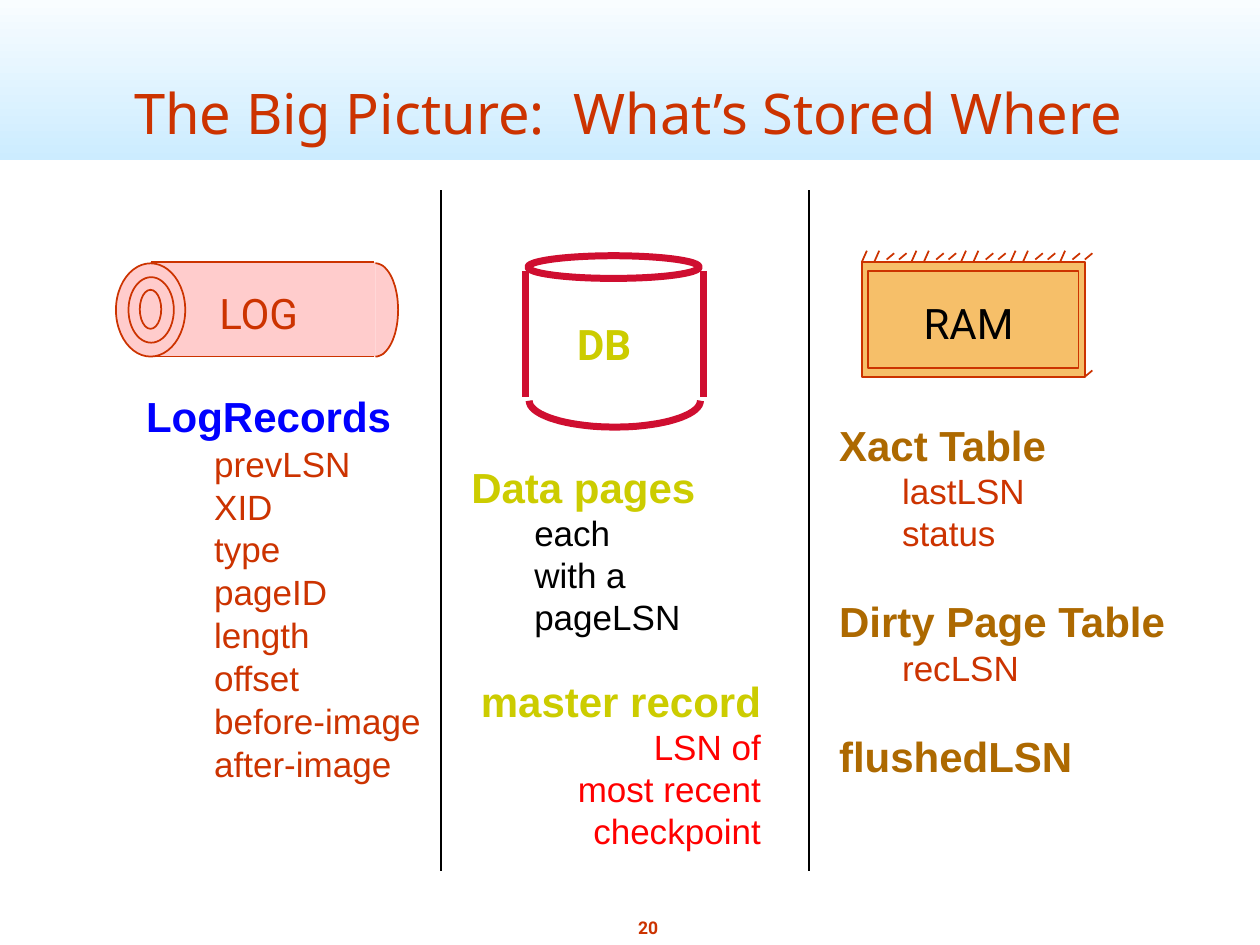
import math
from pptx import Presentation, util as u
from pptx.dml.color import RGBColor
from pptx.enum import shapes, text
from pptx.oxml.ns import qn
from lxml import etree

COLORS = {
    "rust": "CC3300", "sky": "CCECFF", "white": "FFFFFF", "black": "000000",
    "crimson": "CF0E30", "olive": "CCCC00", "brown": "AD6900", "red": "FF0000",
    "blue": "0000FF", "orange": "F6BF69", "pink": "FFCCCC",
}
RECTANGLE, OVAL = shapes.MSO_SHAPE.RECTANGLE, shapes.MSO_SHAPE.OVAL
LEFT, CENTER, RIGHT = text.PP_ALIGN.LEFT, text.PP_ALIGN.CENTER, text.PP_ALIGN.RIGHT
UNITS = 1000  # freeform units per inch; the builder keeps whole units only

presentation = Presentation()
presentation.slide_width, presentation.slide_height = u.Inches(10), u.Inches(7.5)
slide = presentation.slides.add_slide(presentation.slide_layouts[5])


def paint(shape, fill=None, line=None, width=1):
    """Set fill and line of a shape or connector, without shadow."""
    if hasattr(shape, "fill"):
        shape.shadow.inherit = False
        if fill:
            shape.fill.solid()
            shape.fill.fore_color.rgb = RGBColor.from_string(COLORS[fill])
        else:
            shape.fill.background()
    if line:
        shape.line.color.rgb = RGBColor.from_string(COLORS[line])
        shape.line.width = u.Pt(width)
    else:
        shape.line.fill.background()
    if not hasattr(shape, "fill"):
        etree.SubElement(shape._element.spPr, qn("a:effectLst"))


def write(shape, lines, align=LEFT):
    """Fill a shape with lines of (words, size, font, color, bold, indent, space before)."""
    frame = shape.text_frame
    frame.margin_left = frame.margin_right = u.Inches(0.05)
    frame.margin_top = frame.margin_bottom = u.Inches(0.05)
    for index, (words, size, font, color, bold, indent, before) in enumerate(lines):
        paragraph = frame.add_paragraph() if index else frame.paragraphs[0]
        paragraph.text = words
        paragraph.alignment = align
        paragraph.space_before = u.Pt(before)
        if indent:
            paragraph._p.get_or_add_pPr().set("marL", str(u.Inches(indent)))
        run_font = paragraph.runs[0].font
        run_font.size, run_font.name, run_font.bold = u.Pt(size), font, bold
        run_font.color.rgb = RGBColor.from_string(COLORS[color])


# Title band and title
band = slide.shapes.add_shape(RECTANGLE, 0, u.Inches(-0.17), u.Inches(10), u.Inches(1.44))
paint(band)
band.fill.gradient()
band.fill.gradient_angle = 90
for stop, color in zip(band.fill.gradient_stops, ("sky", "white")):
    stop.color.rgb = RGBColor.from_string(COLORS[color])
slide.shapes._spTree.insert(2, band._element)

title = slide.shapes.title
title.left, title.top = u.Inches(0.45), u.Inches(0)
title.width, title.height = u.Inches(9.08), u.Inches(1.21)
title.text_frame.vertical_anchor = text.MSO_ANCHOR.BOTTOM
title.text_frame.auto_size = text.MSO_AUTO_SIZE.NONE
write(title, [("The Big Picture:  What’s Stored Where", 32, "Noto Sans", "rust", False, 0, 0)],
      CENTER)

# Rectangles and ellipses of the database, memory and log drawings
for kind, left, top, width, height, fill, line, weight in [
    (OVAL, 4.19, 2.03, 1.36, 0.18, None, "crimson", 4),
    (RECTANGLE, 6.84, 2.08, 1.77, 0.91, "orange", "rust", 1),
    (RECTANGLE, 6.89, 2.15, 1.67, 0.77, None, "rust", 1),
    (RECTANGLE, 1.2, 2.08, 1.78, 0.75, "pink", None, 1),
    (OVAL, 0.92, 2.09, 0.55, 0.74, "pink", "rust", 1),
    (OVAL, 1.02, 2.2, 0.36, 0.52, None, "rust", 1),
    (OVAL, 1.11, 2.3, 0.17, 0.31, None, "rust", 1),
]:
    shape = slide.shapes.add_shape(
        kind, u.Inches(left), u.Inches(top), u.Inches(width), u.Inches(height))
    paint(shape, fill, line, weight)

# Half ellipses: bottom of the database, then fill and edge of the log's end
for x, y, radius_x, radius_y, start, closed, fill, line, weight in [
    (4.88, 3.18, 0.68, 0.21, 0, False, None, "crimson", 4),
    (2.98, 2.46, 0.18, 0.37, -90, True, "pink", None, 1),
    (2.98, 2.46, 0.18, 0.37, -90, False, None, "rust", 1),
]:
    angles = [math.radians(start + step) for step in range(0, 181, 5)]
    points = [(round(UNITS * (x + radius_x * math.cos(angle))),
               round(UNITS * (y + radius_y * math.sin(angle)))) for angle in angles]
    builder = slide.shapes.build_freeform(*points[0], scale=u.Inches(1) / UNITS)
    builder.add_line_segments(points[1:], close=closed)
    paint(builder.convert_to_shape(), fill, line, weight)

# Straight lines: sides, log edges, column dividers and memory hatching
lines = [(x, 2.15, x, 3.15, "crimson", 4) for x in (4.17, 5.58)]
lines += [(1.2, y, 2.97, y, "rust", 1) for y in (2.08, 2.83)]
lines += [(x, 1.51, x, 6.91, "black", 1) for x in (3.5, 6.42)]
lines.append((8.61, 2.99, 8.67, 2.94, "rust", 1))
for index in range(19):
    x = 6.84 + index * 1.77 / 18
    if index % 4 < 2 and index != 17:
        lines.append((x, 2.08, x + 0.04, 1.99, "rust", 1))
    else:
        lines.append((x, 2.06, x + 0.06, 2.01, "rust", 1))
for x1, y1, x2, y2, color, weight in lines:
    connector = slide.shapes.add_connector(
        shapes.MSO_CONNECTOR.STRAIGHT, u.Inches(x1), u.Inches(y1), u.Inches(x2), u.Inches(y2))
    paint(connector, line=color, width=weight)

# Text blocks
labels = [
    (5.01, 7.23, 0.27, 0.27, CENTER, [("20", 10, "Roboto", "rust", True, 0, 6)]),
    (4.53, 2.48, 0.59, 0.5, LEFT, [("DB", 24, "Roboto", "olive", True, 0, 0)]),
    (7.28, 2.31, 0.85, 0.5, LEFT, [("RAM", 24, "Roboto", "black", False, 0, 0)]),
    (1.69, 2.23, 0.82, 0.5, LEFT, [("LOG", 24, "Roboto", "rust", False, 0, 0)]),
    (1.11, 3.05, 2.06, 0.48, LEFT, [("LogRecords", 24, "Arial", "blue", True, 0, 0)]),
    (3.69, 3.61, 1.89, 1.44, LEFT,
     [("Data pages", 24, "Arial", "olive", True, 0, 0)]
     + [(words, 20, "Arial", "black", False, 0.5, 0) for words in ("each", "with a", "pageLSN")]),
    (3.76, 5.31, 2.33, 1.44, RIGHT,
     [("master record", 24, "Arial", "olive", True, 0, 0)]
     + [(words, 20, "Arial", "red", False, 0, 0)
        for words in ("LSN of", "most recent", "checkpoint")]),
    (6.61, 3.28, 2.7, 3.17, LEFT, [
        ("Xact Table", 24, "Arial", "brown", True, 0, 0),
        ("lastLSN", 20, "Arial", "rust", False, 0.5, 0),
        ("status", 20, "Arial", "rust", False, 0.5, 0),
        ("Dirty Page Table", 24, "Arial", "brown", True, 0, 24),
        ("recLSN", 20, "Arial", "rust", False, 0.5, 0),
        ("flushedLSN", 24, "Arial", "brown", True, 0, 24)]),
]
log_fields = [("prevLSN", 1.19), ("XID", 0.57), ("type", 0.64), ("pageID", 1.01),
              ("length", 0.87), ("offset", 0.79), ("before-image", 1.75), ("after-image", 1.52)]
for row, (field, width) in enumerate(log_fields):
    labels.append((1.65, 3.46 + 0.34 * row, width, 0.41, LEFT,
                   [(field, 20, "Arial", "rust", False, 0, 0)]))
for left, top, width, height, align, content in labels:
    box = slide.shapes.add_textbox(
        u.Inches(left), u.Inches(top), u.Inches(width), u.Inches(height))
    box.text_frame.word_wrap = False
    write(box, content, align)

presentation.save("out.pptx")
